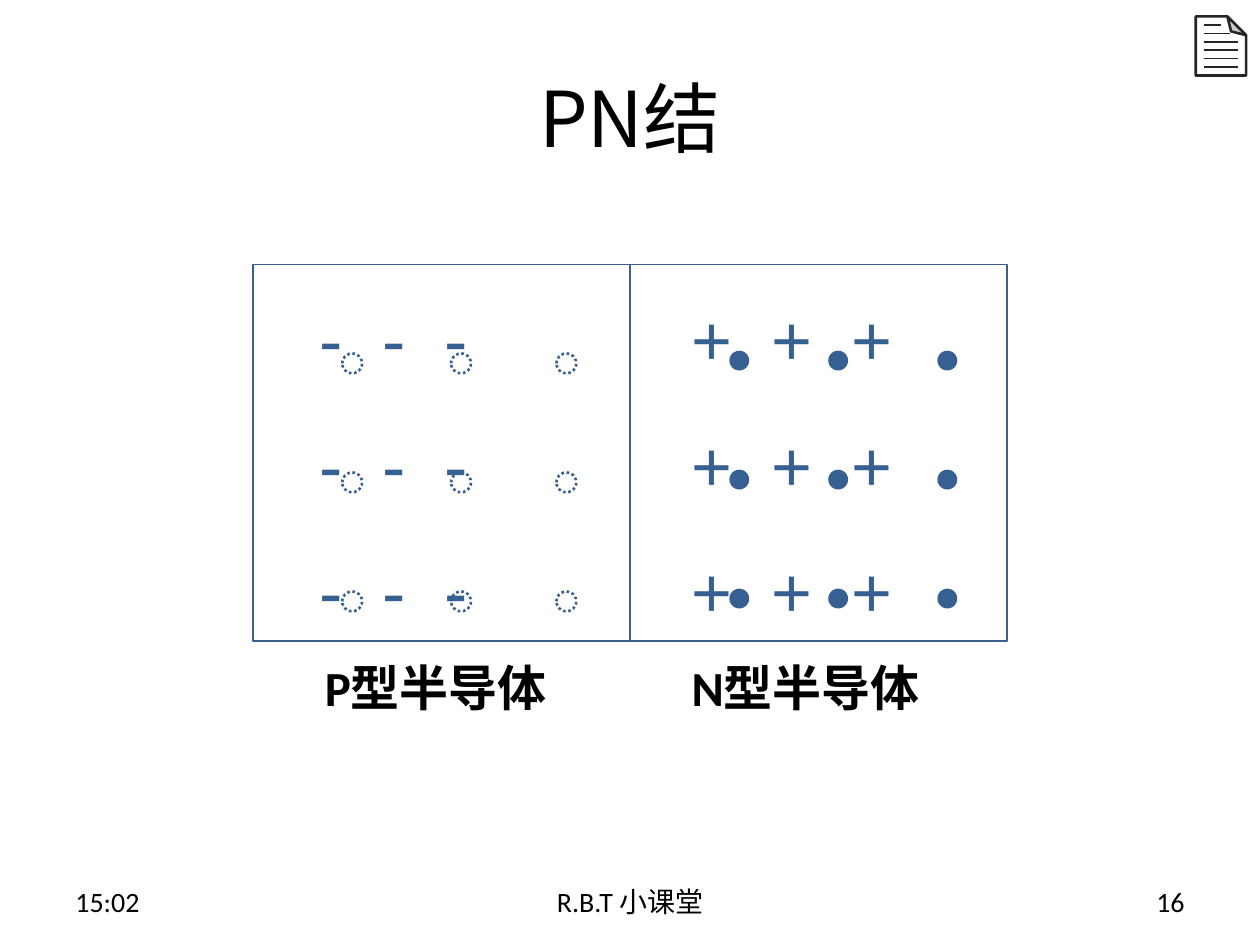
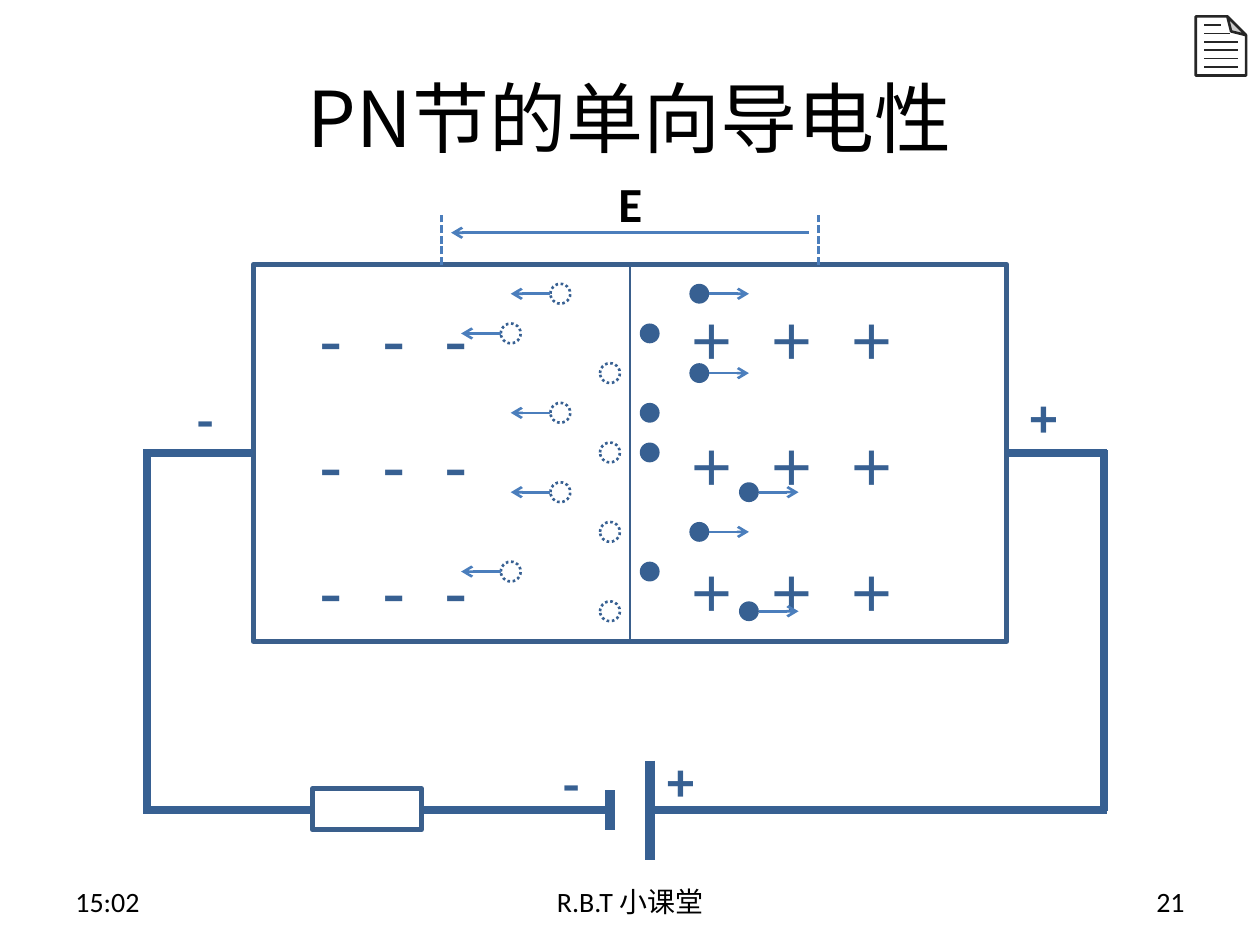
from dataclasses import dataclass

import pptx
import pptx.dml.color
import pptx.enum.dml
import pptx.enum.shapes
import pptx.enum.text
import pptx.oxml
import pptx.oxml.ns
import pptx.util

Pt = pptx.util.Pt
RGBColor = pptx.dml.color.RGBColor
Shape = pptx.enum.shapes.MSO_SHAPE
Dash = pptx.enum.dml.MSO_LINE
Align = pptx.enum.text.PP_ALIGN
Anchor = pptx.enum.text.MSO_ANCHOR
qn = pptx.oxml.ns.qn


@dataclass(frozen=True)
class Theme:
    text: str = "000000"
    border: str = "3A5F8C"
    charge: str = "376092"
    arrow: str = "4B7EBC"
    icon: str = "262626"
    paper: str = "FFFFFF"
    body_font: str = "Calibri"
    sign_font: str = "Arial"
    cjk_font: str = "Noto Sans CJK SC"
    title_size: int = 44
    sign_size: int = 40
    label_size: int = 28
    footer_size: int = 16


THEME = Theme()

# Junction geometry shared by both slides
JUNCTION_LEFT, JUNCTION_TOP, CELL_SIDE = 144.7, 151.2, 215.3
CARRIER_SIZE = 11.34
SIGN_ROWS = 3


# Basic elements
def add_child(parent, tag, **attributes):
    child = parent.makeelement(qn(tag), attributes)
    parent.append(child)
    return child


def add_text(slide, text, box, size, font=THEME.body_font, color=THEME.text,
             bold=False, align=Align.LEFT, anchor=Anchor.TOP):
    shape = slide.shapes.add_textbox(*map(Pt, box))
    frame = shape.text_frame
    frame.word_wrap = True
    frame.vertical_anchor = anchor
    frame.text = text
    for paragraph in frame.paragraphs:
        paragraph.alignment = align
        for run in paragraph.runs:
            run.font.name = font
            run.font.size = Pt(size)
            run.font.bold = bold
            run.font.color.rgb = RGBColor.from_string(color)
            add_child(run._r.get_or_add_rPr(), "a:ea", typeface=THEME.cjk_font)
    return shape


def style_line(line, color, width, dash=None):
    line.color.rgb = RGBColor.from_string(color)
    line.width = Pt(width)
    if dash:
        line.dash_style = dash


def add_shape(parent, kind, box, fill=None, line=None, width=1, dash=None):
    shape = parent.shapes.add_shape(kind, *map(Pt, box))
    shape.shadow.inherit = False
    if fill:
        shape.fill.solid()
        shape.fill.fore_color.rgb = RGBColor.from_string(fill)
    else:
        shape.fill.background()
    if line:
        style_line(shape.line, line, width, dash)
    else:
        shape.line.fill.background()
    return shape


def add_line(parent, start, end, color, width, dash=None, arrow=False):
    connector = parent.shapes.add_connector(
        pptx.enum.shapes.MSO_CONNECTOR.STRAIGHT, *map(Pt, start + end))
    style_line(connector.line, color, width, dash)
    properties = connector.element.spPr
    if arrow:
        add_child(properties.find(qn("a:ln")), "a:tailEnd", type="arrow")
    add_child(properties, "a:effectLst")
    return connector


# Slide furniture
def add_note_icon(slide):
    icon = slide.shapes.add_group_shape()
    page = add_shape(icon, Shape.FOLDED_CORNER, (683.3, 9.4, 28.8, 33.8),
                     THEME.paper, THEME.icon, 1.5)
    properties = page.element.spPr
    properties.find(qn("a:xfrm")).set("flipV", "1")
    adjustments = properties.find(qn("a:prstGeom")).find(qn("a:avLst"))
    add_child(adjustments, "a:gd", name="adj", fmla="val 37200")
    for row, length in enumerate((9.4, 14.4, 19.4, 19.4, 19.4, 19.4)):
        y = 14.4 + row * 4.77
        add_line(icon, (688.3, y), (688.3 + length, y), THEME.icon, 1)


def add_frame(slide, title, number):
    add_text(slide, title, (36, 21.6, 648, 90), THEME.title_size, THEME.cjk_font,
             align=Align.CENTER, anchor=Anchor.MIDDLE)
    footers = (("15:02", 36, 168, Align.LEFT),
               ("R.B.T 小课堂", 246, 228, Align.CENTER),
               (str(number), 516, 168, Align.RIGHT))
    for text, left, width, align in footers:
        add_text(slide, text, (left, 500.5, width, 28.75), THEME.footer_size,
                 align=align, anchor=Anchor.MIDDLE)
    add_note_icon(slide)


# Semiconductor parts
def add_cells(slide):
    return [add_shape(slide, Shape.RECTANGLE,
                      (JUNCTION_LEFT + side * CELL_SIDE, JUNCTION_TOP,
                       CELL_SIDE, CELL_SIDE), line=THEME.border)
            for side in range(2)]


def add_ions(slide, sign, left, pitch):
    """Rows of three fixed charges, spaced by tab stops."""
    text = "\n".join(["\t".join(sign * 3)] * SIGN_ROWS)
    shape = add_text(slide, text, (left, 141.1, 156.2, 220), THEME.sign_size,
                     THEME.sign_font, THEME.charge)
    for paragraph in shape.text_frame.paragraphs:
        paragraph.line_spacing = 1.5
        stops = add_child(paragraph._p.get_or_add_pPr(), "a:tabLst")
        for stop in (1, 2):
            add_child(stops, "a:tab", pos=str(int(Pt(pitch * stop))), algn="l")


def add_all_ions(slide):
    add_ions(slide, "-", 175.7, 35.55)
    add_ions(slide, "+", 388.1, 45.6)


def add_hole(slide, left, top):
    add_shape(slide, Shape.OVAL, (left, top, CARRIER_SIZE, CARRIER_SIZE),
              line=THEME.charge, width=1.5, dash=Dash.ROUND_DOT)


def add_electron(slide, left, top):
    add_shape(slide, Shape.OVAL, (left, top, CARRIER_SIZE, CARRIER_SIZE),
              fill=THEME.charge)


def add_drifting_carriers(slide, add_carrier, first_left, direction, steps):
    """Carriers step away from the junction; those that left it get an arrow."""
    for row, step in enumerate(steps):
        left = first_left + direction * step * 28.35
        top = 162.2 + row * 22.68
        add_carrier(slide, left, top)
        if step:
            x = left + (CARRIER_SIZE if direction > 0 else 0)
            y = top + CARRIER_SIZE / 2
            add_line(slide, (x, y), (x + direction * 22.68, y),
                     THEME.arrow, 1.5, arrow=True)


def add_circuit(slide):
    junction = add_shape(slide, Shape.RECTANGLE,
                         (JUNCTION_LEFT, JUNCTION_TOP, 2 * CELL_SIDE, CELL_SIDE),
                         line=THEME.border, width=3)
    middle = JUNCTION_TOP + CELL_SIDE / 2
    bottom = 463
    # Wires
    left_lead = add_line(slide, (JUNCTION_LEFT, middle), (82, middle), THEME.charge, 4.5)
    left_lead.begin_connect(junction, 1)
    right_lead = add_line(slide, (632.5, middle), (575.3, middle), THEME.charge, 4.5)
    right_lead.end_connect(junction, 3)
    add_line(slide, (348.5, bottom), (82, bottom), THEME.charge, 4.5)
    add_line(slide, (632.5, bottom), (371.5, bottom), THEME.charge, 4.5)
    for x in (84.2, 630.8):
        add_line(slide, (x, 463.7), (x, 257), THEME.charge, 4.5)
    # Battery plates and resistor
    for x, half_height in ((371.5, 28.35), (348.5, 11.34)):
        add_line(slide, (x, bottom - half_height), (x, bottom + half_height),
                 THEME.charge, 6)
    add_shape(slide, Shape.RECTANGLE, (178.6, 450.8, 62.2, 23.4),
              THEME.paper, THEME.border, 3)
    # Polarity
    for sign, left, top in (("-", 314.6, 427), ("+", 373.7, 427),
                            ("-", 105.1, 218.9), ("+", 581, 218.9)):
        add_text(slide, sign, (left, top, 28.8, 41), THEME.label_size,
                 THEME.cjk_font, THEME.charge, bold=True)


def add_field(slide, cells):
    for cell, x in zip(cells, (252.35, 467.65)):
        marker = add_line(slide, (x, JUNCTION_TOP), (x, 122.4), THEME.arrow, 1.5,
                          Dash.SQUARE_DOT)
        marker.begin_connect(cell, 0)
    add_line(slide, (462.2, 133), (257.8, 133), THEME.arrow, 1.5, arrow=True)
    add_text(slide, "Ε", (346.3, 95.8, 28.1, 41), THEME.label_size, bold=True)


# Slides
def build_junction_slide(slide):
    add_cells(slide)
    add_frame(slide, "PN结", 16)
    add_all_ions(slide)
    for row in range(3):
        for left in (195.6, 257.8, 318):
            add_hole(slide, left, 202 + row * 68)
        for left in (416.8, 473.3, 535.7):
            add_electron(slide, left, 200.4 + row * 68)
    for text, left in (("P型半导体", 178.6), ("N型半导体", 388.1)):
        add_text(slide, text, (left, 372.2, 153.4, 41), THEME.label_size, bold=True)


def build_conduction_slide(slide):
    cells = add_cells(slide)
    add_frame(slide, "PN节的单向导电性", 21)
    add_all_ions(slide)
    add_drifting_carriers(slide, add_hole, 342.9, -1, (1, 2, 0, 1, 0, 1, 0, 2, 0))
    add_drifting_carriers(slide, add_electron, 365.6, 1, (1, 0, 1, 0, 0, 2, 1, 0, 2))
    add_circuit(slide)
    add_field(slide, cells)


def main():
    presentation = pptx.Presentation()
    presentation.slide_width, presentation.slide_height = Pt(720), Pt(540)
    blank = presentation.slide_layouts[6]
    for build in (build_junction_slide, build_conduction_slide):
        build(presentation.slides.add_slide(blank))
    presentation.save("out.pptx")


if __name__ == "__main__":
    main()
